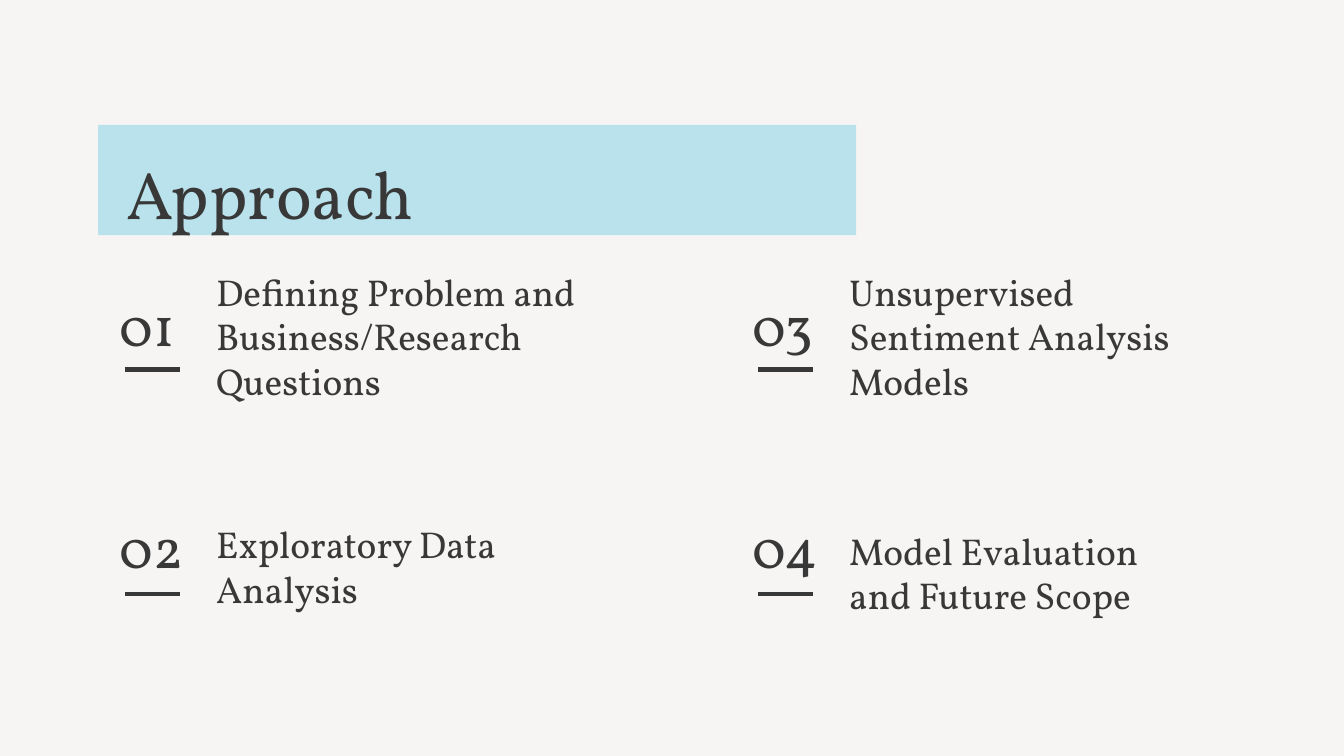
from dataclasses import dataclass

from pptx import Presentation
from pptx.dml.color import RGBColor
from pptx.enum.shapes import MSO_CONNECTOR, MSO_SHAPE
from pptx.enum.text import MSO_ANCHOR, MSO_AUTO_SIZE, PP_ALIGN
from pptx.oxml.ns import qn
from pptx.util import Inches, Pt
from lxml import etree

TOP, MIDDLE = MSO_ANCHOR.TOP, MSO_ANCHOR.MIDDLE
LEFT = PP_ALIGN.LEFT
NO_AUTOFIT = MSO_AUTO_SIZE.NONE
RECTANGLE = MSO_SHAPE.RECTANGLE
STRAIGHT = MSO_CONNECTOR.STRAIGHT
TITLE_ONLY = 5


@dataclass(frozen=True)
class Theme:
    background: RGBColor = RGBColor(0xF7, 0xF5, 0xF3)
    band: RGBColor = RGBColor(0xBA, 0xE2, 0xEC)
    ink: RGBColor = RGBColor(0x38, 0x38, 0x38)
    font: str = "Vollkorn"
    title_size: Pt = Pt(36)
    number_size: Pt = Pt(30)
    step_size: Pt = Pt(20)
    rule_width: Pt = Pt(2.25)


THEME = Theme()
SLIDE_WIDTH = Inches(10)
SLIDE_HEIGHT = SLIDE_WIDTH * 9 // 16
COLUMN_LEFTS = (0.79, 5.5)
NUMBER_TOPS = (2.1, 3.75)
RULE_TOPS = (2.75, 4.42)

# (text, text top, text width, text height), down each column in turn
STEPS = (
    ("Defining Problem and Business/Research Questions", 2.25, 3.45, 0.5),
    ("Exploratory Data Analysis", 4.0, 2.6, 0.42),
    ("Unsupervised Sentiment Analysis Models", 2.25, 2.6, 0.5),
    ("Model Evaluation and Future Scope", 4.05, 2.6, 0.42),
)


def write_text(shape, text, size, anchor):
    frame = shape.text_frame
    frame.word_wrap = True
    frame.auto_size = NO_AUTOFIT
    frame.vertical_anchor = anchor
    frame.margin_left = frame.margin_right = Inches(0.1)
    frame.margin_top = frame.margin_bottom = Inches(0.1)
    paragraph = frame.paragraphs[0]
    paragraph.alignment = LEFT
    run = paragraph.add_run()
    run.text = text
    run.font.name = THEME.font
    run.font.size = size
    run.font.color.rgb = THEME.ink


def add_title(slide, text):
    """Fill the title placeholder and lay the coloured band behind it."""
    title = slide.shapes.title
    title.left, title.top = Inches(0.84), Inches(1.03)
    title.width, title.height = Inches(6.32), Inches(0.63)
    write_text(title, text, THEME.title_size, TOP)

    band = slide.shapes.add_shape(
        RECTANGLE, Inches(0.73), Inches(0.93), Inches(5.64), Inches(0.82))
    band.shadow.inherit = False
    band.fill.solid()
    band.fill.fore_color.rgb = THEME.band
    band.line.fill.background()
    title._element.addprevious(band._element)


def add_label(slide, text, left, top, width, height, size):
    box = slide.shapes.add_textbox(
        Inches(left), Inches(top), Inches(width), Inches(height))
    write_text(box, text, size, MIDDLE)


def add_rule(slide, left, top, length):
    rule = slide.shapes.add_connector(
        STRAIGHT, Inches(left), Inches(top), Inches(left + length), Inches(top))
    rule.line.color.rgb = THEME.ink
    rule.line.width = THEME.rule_width
    etree.SubElement(rule._element.spPr, qn("a:effectLst"))


def add_step(slide, index, step):
    """Add one numbered step: number, rule below it and text beside it."""
    text, text_top, text_width, text_height = step
    column, row = divmod(index, len(NUMBER_TOPS))
    left = COLUMN_LEFTS[column]
    add_label(slide, f"{index + 1:02d}", left, NUMBER_TOPS[row], 0.81, 0.63,
              THEME.number_size)
    add_label(slide, text, left + 0.72, text_top, text_width, text_height,
              THEME.step_size)
    add_rule(slide, left + 0.14, RULE_TOPS[row], 0.41)


def main():
    presentation = Presentation()
    presentation.slide_width = SLIDE_WIDTH
    presentation.slide_height = SLIDE_HEIGHT
    slide = presentation.slides.add_slide(presentation.slide_layouts[TITLE_ONLY])
    slide.background.fill.solid()
    slide.background.fill.fore_color.rgb = THEME.background

    add_title(slide, "Approach")
    for index, step in enumerate(STEPS):
        add_step(slide, index, step)
    presentation.save("out.pptx")


if __name__ == "__main__":
    main()
